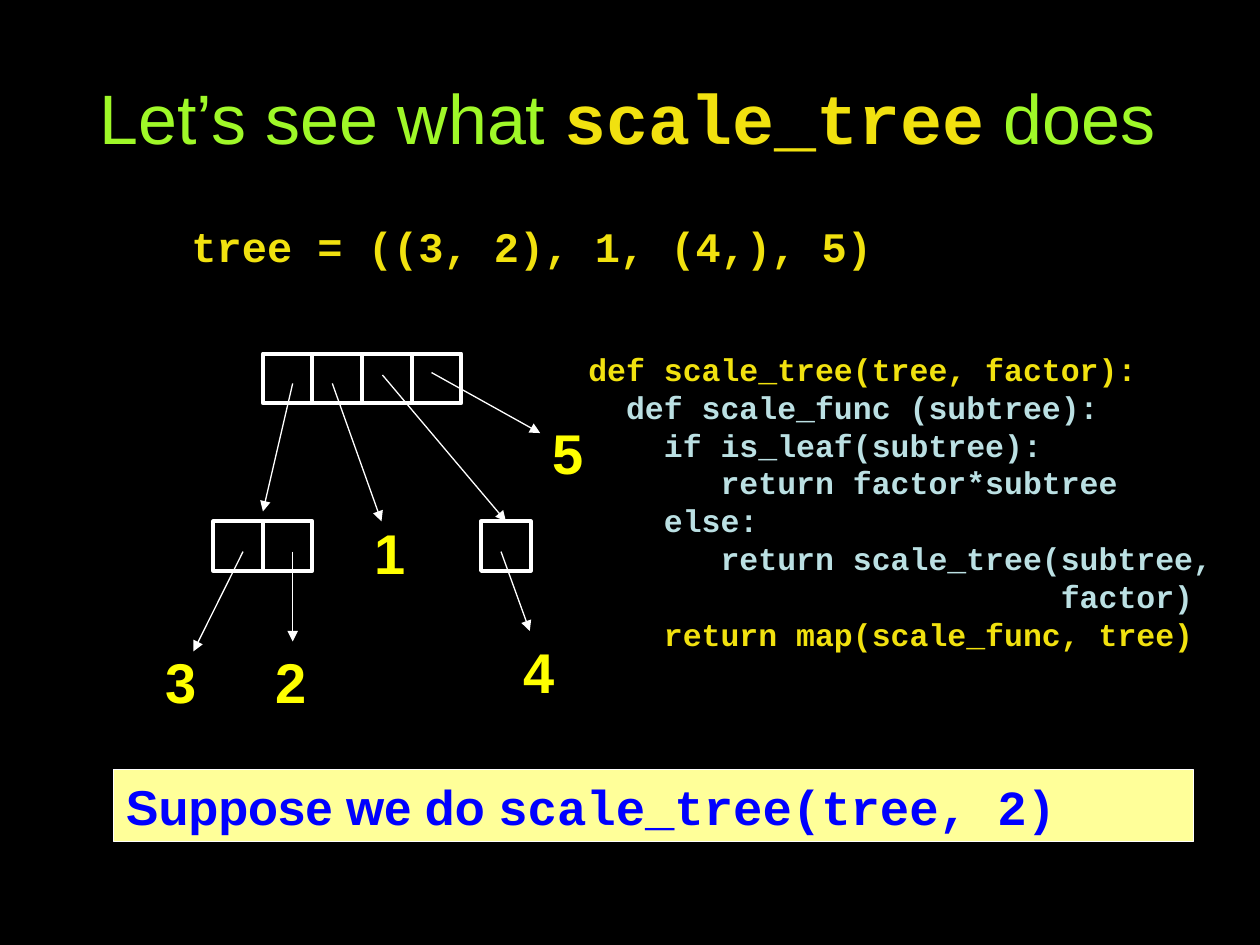
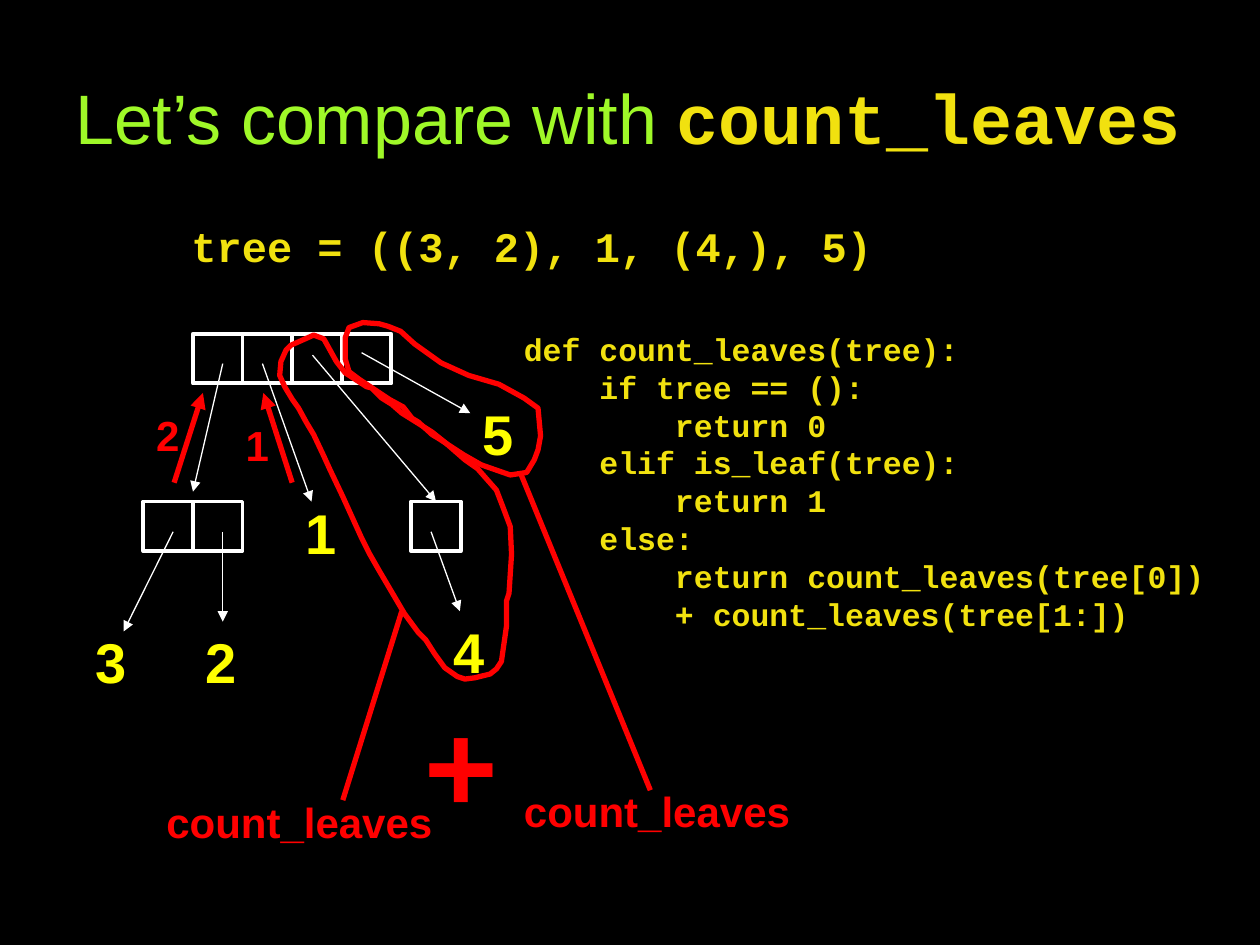
import pptx
import pptx.util
import pptx.dml.color
import pptx.enum.shapes
import pptx.enum.text
import pptx.oxml.ns
from lxml import etree

Cm, Pt = pptx.util.Cm, pptx.util.Pt
RGB = pptx.dml.color.RGBColor.from_string
RECT = pptx.enum.shapes.MSO_SHAPE.RECTANGLE
STRAIGHT = pptx.enum.shapes.MSO_CONNECTOR.STRAIGHT
CENTER = pptx.enum.text.PP_ALIGN.CENTER
LEFT = pptx.enum.text.PP_ALIGN.LEFT

# Theme: colours, then (font, size, bold, colour) for each text style
SANS, MONO = "Arial", "Courier New"
COLOR = dict(back="000000", white="FFFFFF", red="FF0000", gold="F1E10F",
             pale="BBE0E3", banner="FFFF99")
STYLE = {
    "title": (SANS, 40, False, "9FF828"),
    "title_code": (MONO, 40, True, COLOR["gold"]),
    "tree": (MONO, 24, True, COLOR["gold"]),
    "leaf": (SANS, 32, True, "FFFF00"),
    "code": (MONO, 18, True, COLOR["gold"]),
    "inner": (MONO, 18, True, COLOR["pale"]),
    "banner": (SANS, 28, True, "0000FF"),
    "banner_code": (MONO, 28, True, "0000FF"),
    "note": (SANS, 24, True, COLOR["red"]),
    "plus": (SANS, 72, True, COLOR["red"]),
}


def write(tf, paragraphs, align=LEFT):
    """Fill a text frame; each paragraph is a list of (text, style) runs."""
    for i, runs in enumerate(paragraphs):
        p = tf.paragraphs[0] if i == 0 else tf.add_paragraph()
        p.alignment = align
        for text, style in runs:
            r = p.add_run()
            r.text = text
            name, size, bold, color = STYLE[style]
            for key, value in dict(name=name, size=Pt(size), bold=bold).items():
                setattr(r.font, key, value)
            r.font.color.rgb = RGB(color)


def add_line(s, ends, color, width, arrow=True):
    """Draw a straight line over (x1, y1, x2, y2) in centimetres."""
    line = s.shapes.add_connector(STRAIGHT, *map(Cm, ends))
    line.line.color.rgb = RGB(color)
    line.line.width = Pt(width)
    if arrow:
        tail = etree.SubElement(line.line._get_or_add_ln(),
                                pptx.oxml.ns.qn("a:tailEnd"))
        tail.set("type", "triangle")
    etree.SubElement(line._element.spPr, pptx.oxml.ns.qn("a:effectLst"))
    return line


# Tree geometry in cm, measured from the top left of the root
CELL = 1
ROOT_CELLS = [(i * CELL, 0) for i in range(4)]
CHILD_CELLS = [(-CELL, 3.38), (0, 3.38), (4.4, 3.38)]
LEAVES = {"4": (5, 5.59), "3": (-2.21, 5.79), "2": (0, 5.79),
          "1": (2.01, 3.2), "5": (5.59, 1.19)}
BRANCHES = [(-0.4, 3.99, -1.4, 6), (0.6, 3.99, 0.6, 5.8), (0.6, 0.6, 0, 3.18),
            (1.4, 0.6, 2.39, 3.38), (3.4, 0.38, 5.59, 1.6),
            (4.8, 3.99, 5.38, 5.59)]
BRANCH_TO_4 = (2.41, 0.43, 4.9, 3.38)

# Slide content
SLIDES = [
    dict(title=[("Let’s see what ", "title"), ("scale_tree", "title_code"),
                (" does", "title")],
         root=(5.3, 7.13), code_at=(11.61, 6.93),
         code=[("def scale_tree(tree, factor):", "code"),
               ("  def scale_func (subtree):", "inner"),
               ("    if is_leaf(subtree):", "inner"),
               ("       return factor*subtree", "inner"),
               ("    else:", "inner"),
               ("       return scale_tree(subtree,", "inner"),
               ("                         factor)", "inner"),
               ("    return map(scale_func, tree)", "code")]),
    dict(title=[("Let’s compare with ", "title"), ("count_leaves", "title_code")],
         root=(3.89, 6.73), code_at=(10.31, 6.53),
         code=[(text, "code") for text in (
             "def count_leaves(tree):",
             "    if tree == ():",
             "        return 0",
             "    elif is_leaf(tree):",
             "        return 1",
             "    else:",
             "        return count_leaves(tree[0])",
             "        + count_leaves(tree[1:])")]),
]

prs = pptx.Presentation()
prs.slide_width, prs.slide_height = Cm(25.4), Cm(19.05)

# Shared background and title frame
fill = prs.slide_master.background.fill
fill.solid()
fill.fore_color.rgb = RGB(COLOR["back"])
layout = prs.slide_layouts[5]
title = layout.placeholders[0]
frame = dict(left=1.27, top=0.18, width=22.86, height=4.34)
for key, value in frame.items():
    setattr(title, key, Cm(value))
margins = dict(margin_left=0.15, margin_top=0.15, margin_right=0.25,
               margin_bottom=0.15)
for key, value in margins.items():
    setattr(title.text_frame, key, Cm(value))
title.text_frame.auto_size = pptx.enum.text.MSO_AUTO_SIZE.NONE
title.text_frame.vertical_anchor = pptx.enum.text.MSO_ANCHOR.MIDDLE

for content in SLIDES:
    s = prs.slides.add_slide(layout)
    write(s.shapes.title.text_frame, [content["title"]], CENTER)
    x0, y0 = content["root"]

    # Tree expression, leaf values and code
    code_x, code_y = content["code_at"]
    boxes = [((3.61, 4.32, 18, 1.27), [[("tree = ((3, 2), 1, (4,), 5)", "tree")]]),
             ((code_x, code_y, 25.4 - code_x, 6.35),
              [[run] for run in content["code"]])]
    boxes += [((x0 + x, y0 + y, 1.2, 1.63), [[(leaf, "leaf")]])
              for leaf, (x, y) in LEAVES.items()]
    for box, paragraphs in boxes:
        tf = s.shapes.add_textbox(*map(Cm, box)).text_frame
        tf.word_wrap = True
        write(tf, paragraphs)

    # Tree cells
    for x, y in ROOT_CELLS + CHILD_CELLS:
        cell = s.shapes.add_shape(RECT, Cm(x0 + x), Cm(y0 + y), Cm(CELL), Cm(CELL))
        cell.shadow.inherit = False
        cell.fill.background()
        cell.line.color.rgb = RGB(COLOR["white"])
        cell.line.width = Pt(2.25)

    # Branches; the last one joins the top of the last cell
    for x1, y1, x2, y2 in BRANCHES + [BRANCH_TO_4]:
        branch = add_line(s, (x0 + x1, y0 + y1, x0 + x2, y0 + y2),
                          COLOR["white"], 0.75)
    branch.end_connect(cell, 0)

first, second = prs.slides

# Slide 1: banner
banner = first.shapes.add_shape(RECT, Cm(2.29), Cm(15.52), Cm(21.77), Cm(1.45))
banner.shadow.inherit = False
banner.fill.solid()
banner.fill.fore_color.rgb = RGB(COLOR["banner"])
banner.line.color.rgb = RGB(COLOR["white"])
banner.line.width = Pt(0.75)
write(banner.text_frame, [[("Suppose we do ", "banner"),
                           ("scale_tree(tree, 2)", "banner_code")]])

# Slide 2: red notes
NOTES = [("2", "note", (2.9, 8.13, 0.97, 1.27)),
         ("1", "note", (4.7, 8.33, 0.97, 1.27)),
         ("+", "plus", (8.31, 13.72, 1.98, 3.3)),
         ("count_leaves", "note", (3.1, 15.93, 5.87, 1.27)),
         ("count_leaves", "note", (10.31, 15.72, 5.87, 1.27))]
for text, style, box in NOTES:
    tf = second.shapes.add_textbox(*map(Cm, box)).text_frame
    tf.word_wrap = False
    write(tf, [[(text, style)]], CENTER)

# Slide 2: return arrows, then leader lines
for ends, arrow in [((3.51, 9.73, 4.09, 7.92), True),
                    ((5.89, 9.73, 5.31, 7.92), True),
                    ((6.91, 16.13, 8.1, 12.32), False),
                    ((10.49, 9.53, 13.11, 15.93), False)]:
    add_line(second, ends, COLOR["red"], 3, arrow)

# Slide 2: hand-drawn loops, in hundredths of an inch
LOOP_4 = [(291, 307), (274, 296), (267, 287), (257, 269), (249, 266), (231, 274),
          (227, 278), (223, 287), (222, 298), (226, 307), (232, 317), (237, 324),
          (243, 335), (249, 345), (257, 362), (262, 373), (272, 394), (287, 427),
          (293, 439), (301, 453), (321, 487), (332, 502), (338, 508), (345, 519),
          (353, 530), (363, 537), (369, 539), (377, 538), (389, 535), (394, 531),
          (398, 525), (402, 497), (402, 477), (404, 471), (406, 440), (405, 418),
          (399, 402), (394, 389), (379, 372), (369, 365), (353, 351), (343, 343),
          (327, 333), (319, 328), (311, 321), (303, 316), (295, 308)]
LOOP_5 = [(427, 324), (416, 316), (396, 305), (372, 298), (350, 288), (343, 283),
          (329, 273), (318, 263), (308, 259), (301, 257), (288, 256), (277, 260),
          (274, 268), (274, 285), (277, 295), (285, 301), (309, 317), (320, 323),
          (327, 332), (332, 335), (343, 345), (348, 348), (368, 361), (382, 369),
          (405, 377), (418, 375), (424, 365), (427, 357), (429, 346)]
for points in (LOOP_4, LOOP_5):
    builder = second.shapes.build_freeform(*points[0], scale=Cm(2.54) / 100)
    builder.add_line_segments(points[1:], close=True)
    loop = builder.convert_to_shape()
    loop.shadow.inherit = False
    loop.fill.background()
    loop.line.color.rgb = RGB(COLOR["red"])
    loop.line.width = Pt(3)

prs.save("out.pptx")
